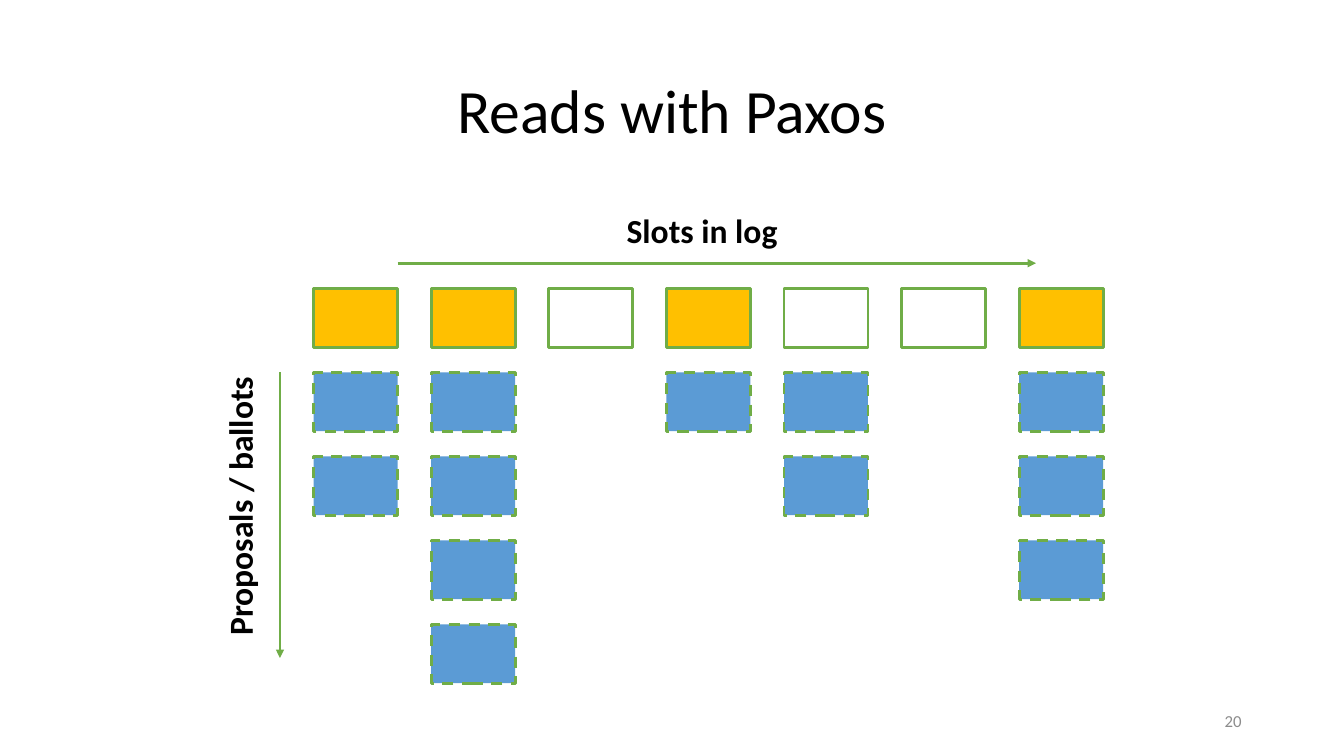
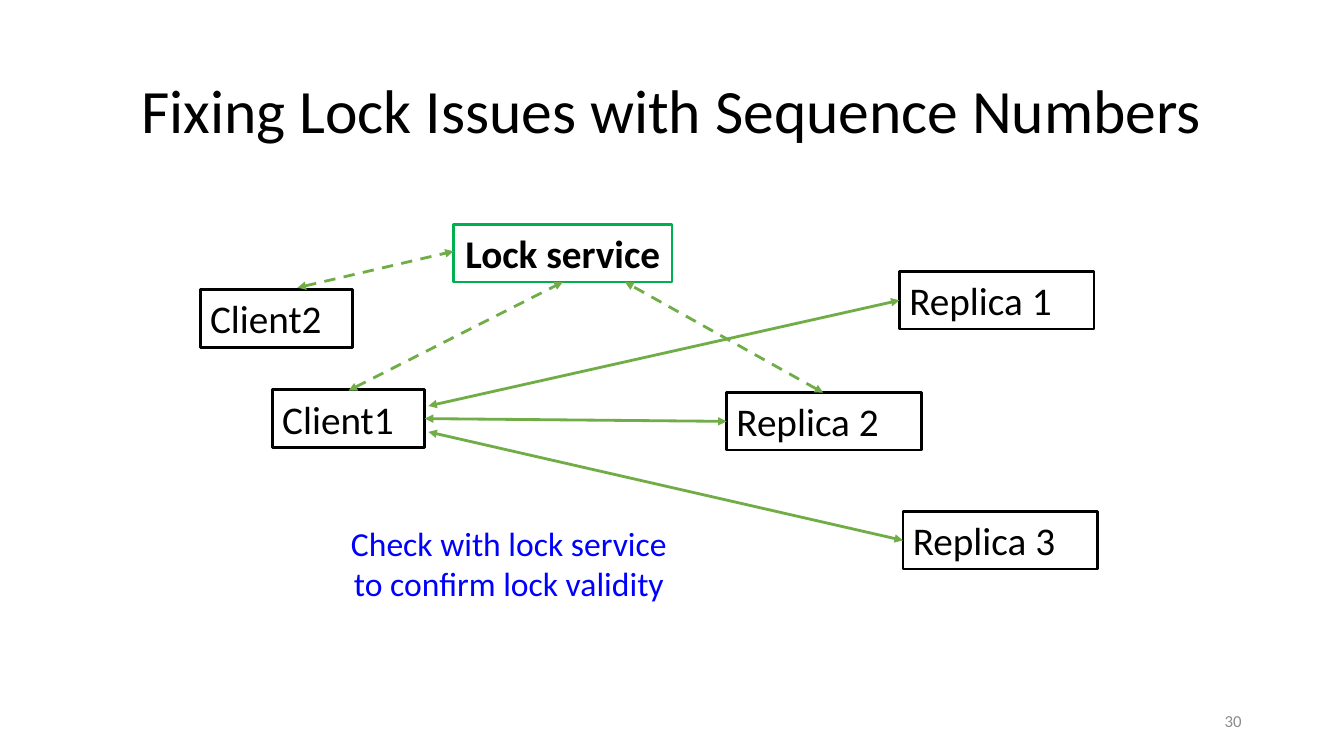
from pptx import Presentation
from pptx.dml.color import RGBColor
from pptx.enum import dml, shapes, text
from pptx.oxml import parse_xml
from pptx.oxml.ns import nsdecls, qn
from pptx.util import Pt

# Shared style
FONT = "Calibri"
BLACK, GREY, BLUE_TEXT = "000000", "8C8C8C", "0000FF"
GREEN, LOCK_GREEN, GOLD, BLUE = "70AD47", "00B050", "FFC000", "5B9BD5"
LEFT, CENTER, RIGHT = text.PP_ALIGN.LEFT, text.PP_ALIGN.CENTER, text.PP_ALIGN.RIGHT
TITLE_BOX = (66, 28.75, 828, 104.5)
NUMBER_BOX = (678, 500.5, 216, 28.75)
LINE_WIDTH = 2

# Log slide: each slot is (chosen, number of proposals)
SLOTS = [(True, 2), (True, 4), (False, 0), (True, 1), (False, 2), (False, 0), (True, 3)]
GRID_LEFT, GRID_TOP = 224, 206
COLUMN_STEP, ROW_STEP = 84, 60
CELL_WIDTH, CELL_HEIGHT = 60, 42
AXES = [((284, 188), (740, 188)), ((200, 266), (200, 470))]
AXIS_LABELS = [  # text, box, rotation
    ("Slots in log", (440, 146.5, 123, 36), 0),
    ("Proposals / ballots", (70, 343.5, 202, 36), -90),
]

# Lock slide
CLIENT_WIDTH, REPLICA_WIDTH, LOCK_WIDTH, NODE_HEIGHT = 109, 139, 156, 41
NODES = [  # name, left, top, width
    ("Client1", 194.5, 278.5, CLIENT_WIDTH),
    ("Client2", 143, 207, CLIENT_WIDTH),
    ("Replica 1", 642.5, 194, REPLICA_WIDTH),
    ("Replica 2", 519, 280.5, REPLICA_WIDTH),
    ("Replica 3", 645, 365.5, REPLICA_WIDTH),
]
LOCK_NODE = ("Lock service", 324, 160.5, LOCK_WIDTH)
REPLICA_LINKS = [
    ((303.5, 299), (519, 301)),
    ((306, 290), (642.5, 214.5)),
    ((306, 308.5), (645, 386)),
]
LOCK_LINKS = [
    ((249, 279), (402, 201.5)),
    ((588, 280.5), (446.5, 201.5)),
    ((212.5, 205.5), (324, 179.5)),
]
NOTE = ["Check with lock service", "to confirm lock validity"]
NOTE_BOX = (230.5, 370, 266, 65.5)


def color(value):
    return RGBColor.from_string(value)


def place(shape, box):
    for name, value in zip(("left", "top", "width", "height"), box):
        setattr(shape, name, Pt(value))


def write(shape, lines, size, align=CENTER, ink=BLACK, bold=False, spacing=1,
          anchor=text.MSO_ANCHOR.TOP, wrap=True):
    frame = shape.text_frame
    frame.text = "\n".join(lines)
    frame_format = {"word_wrap": wrap, "vertical_anchor": anchor,
                    "auto_size": text.MSO_AUTO_SIZE.NONE}
    for name, value in frame_format.items():
        setattr(frame, name, value)
    for paragraph in frame.paragraphs:
        paragraph.alignment = align
        paragraph.line_spacing = spacing
        for run in paragraph.runs:
            for name, value in {"name": FONT, "size": Pt(size), "bold": bold}.items():
                setattr(run.font, name, value)
            run.font.color.rgb = color(ink)


def add_text(slide, box, lines, size, **style):
    shape = slide.shapes.add_textbox(*map(Pt, box))
    write(shape, lines, size, **style)
    return shape


def style_line(line, ink, dashed):
    line.color.rgb = color(ink)
    line.width = Pt(LINE_WIDTH)
    if dashed:
        line.dash_style = dml.MSO_LINE.DASH


def add_box(slide, box, outline, fill=None, dashed=False):
    shape = slide.shapes.add_shape(shapes.MSO_SHAPE.RECTANGLE, *map(Pt, box))
    shape.shadow.inherit = False
    if fill:
        shape.fill.solid()
        shape.fill.fore_color.rgb = color(fill)
    else:
        shape.fill.background()
    style_line(shape.line, outline, dashed)
    return shape


def add_arrow(slide, start, end, both=False, dashed=False):
    arrow = slide.shapes.add_connector(shapes.MSO_CONNECTOR.STRAIGHT, *map(Pt, start + end))
    style_line(arrow.line, GREEN, dashed)
    properties = arrow._element.spPr
    for tag in ("headEnd", "tailEnd") if both else ("tailEnd",):
        head = parse_xml(f'<a:{tag} {nsdecls("a")} type="triangle"/>')
        properties.find(qn("a:ln")).append(head)
    properties.append(parse_xml(f'<a:effectLst {nsdecls("a")}/>'))


def add_slide(presentation, title, number):
    slide = presentation.slides.add_slide(presentation.slide_layouts[5])
    middle = text.MSO_ANCHOR.MIDDLE
    place(slide.shapes.title, TITLE_BOX)
    write(slide.shapes.title, [title], 44, spacing=0.9, anchor=middle)
    add_text(slide, NUMBER_BOX, [number], 12, align=RIGHT, ink=GREY, anchor=middle)
    return slide


def build_log(presentation):
    slide = add_slide(presentation, "Reads with Paxos", "20")
    # Slots along the top, proposals below each
    for column, (chosen, proposals) in enumerate(SLOTS):
        for row in range(proposals + 1):
            box = (GRID_LEFT + column * COLUMN_STEP, GRID_TOP + row * ROW_STEP,
                   CELL_WIDTH, CELL_HEIGHT)
            slot_fill = GOLD if chosen else None
            add_box(slide, box, GREEN, BLUE if row else slot_fill, dashed=row > 0)
    # Axes
    for start, end in AXES:
        add_arrow(slide, start, end)
    for label, box, rotation in AXIS_LABELS:
        add_text(slide, box, [label], 24, bold=True, wrap=False).rotation = rotation


def build_locks(presentation):
    slide = add_slide(presentation, "Fixing Lock Issues with Sequence Numbers", "30")
    # Clients, replicas and the lock service
    for name, left, top, width in NODES:
        node = add_box(slide, (left, top, width, NODE_HEIGHT), BLACK)
        write(node, [name], 28, align=LEFT)
    name, left, top, width = LOCK_NODE
    lock = add_box(slide, (left, top, width, NODE_HEIGHT), LOCK_GREEN)
    write(lock, [name], 28, bold=True, wrap=False)
    # Links
    for links, dashed in ((REPLICA_LINKS, False), (LOCK_LINKS, True)):
        for start, end in links:
            add_arrow(slide, start, end, both=True, dashed=dashed)
    add_text(slide, NOTE_BOX, NOTE, 24, ink=BLUE_TEXT, wrap=False)


def main():
    presentation = Presentation()
    presentation.slide_width, presentation.slide_height = Pt(960), Pt(540)
    build_log(presentation)
    build_locks(presentation)
    presentation.save("out.pptx")


if __name__ == "__main__":
    main()
